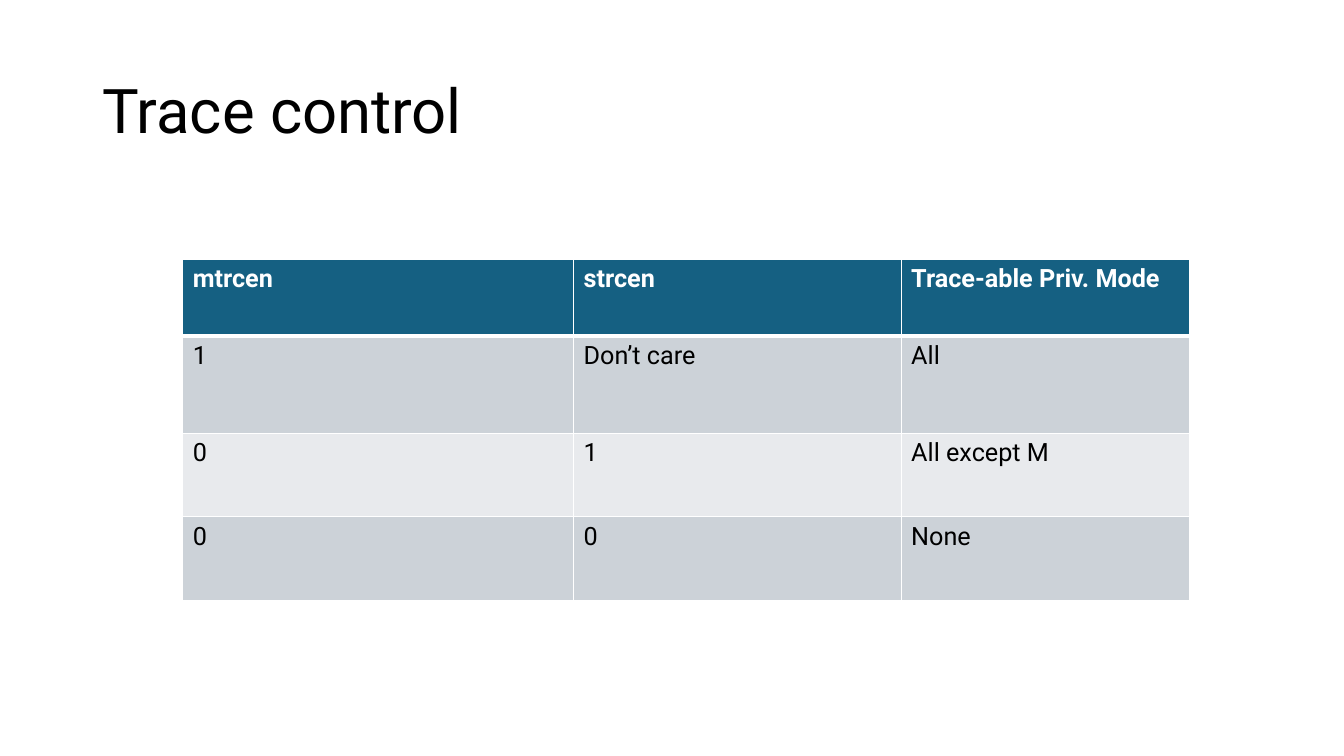
from lxml.etree import SubElement
from pptx import Presentation
from pptx.dml.color import RGBColor
from pptx.enum.text import MSO_ANCHOR
from pptx.oxml.ns import qn
from pptx.util import Pt

FONT = "Roboto"


def color(value):
    return RGBColor.from_string(value)


def add_border(cell, side, width):
    line = SubElement(cell._tc.get_or_add_tcPr(), qn(f"a:ln{side}"), w=str(Pt(width)))
    fill = SubElement(line, qn("a:solidFill"))
    SubElement(fill, qn("a:srgbClr"), val="FFFFFF")


deck = Presentation()
deck.slide_width, deck.slide_height = Pt(960), Pt(540)
page = deck.slides.add_slide(deck.slide_layouts[6])

# Title
box = page.shapes.add_textbox(Pt(66), Pt(28.75), Pt(828), Pt(104.4))
frame = box.text_frame
frame.word_wrap = True
frame.vertical_anchor = MSO_ANCHOR.MIDDLE
para = frame.paragraphs[0]
para.text = "Trace control"
para.line_spacing = 0.9
para.font.name = FONT
para.font.size = Pt(44)
para.font.color.rgb = color("000000")

# Trace control table
rows = [
    ("mtrcen", "strcen", "Trace-able Priv. Mode"),
    ("1", "Don’t care", "All"),
    ("0", "1", "All except M"),
    ("0", "0", "None"),
]
column_widths = [279.2, 234, 206]
row_heights = [55.2, 69.4, 59.6, 60.2]
table = page.shapes.add_table(
    len(rows), len(column_widths), Pt(130.5), Pt(185),
    Pt(sum(column_widths)), Pt(sum(row_heights))).table
for column, width in zip(table.columns, column_widths):
    column.width = Pt(width)
for row, height in zip(table.rows, row_heights):
    row.height = Pt(height)

for i, texts in enumerate(rows):
    header = i == 0
    background = "156082" if header else ("E8EAED", "CCD2D8")[i % 2]
    for j, text in enumerate(texts):
        cell = table.cell(i, j)
        # The rule under the header is thicker than the others
        add_border(cell, "L", 1)
        add_border(cell, "R", 1)
        add_border(cell, "T", 3 if i == 1 else 1)
        add_border(cell, "B", 3 if header else 1)
        cell.fill.solid()
        cell.fill.fore_color.rgb = color(background)
        para = cell.text_frame.paragraphs[0]
        para.text = text
        para.font.name = FONT
        para.font.size = Pt(18)
        para.font.bold = header
        para.font.color.rgb = color("FFFFFF" if header else "000000")

deck.save("out.pptx")
